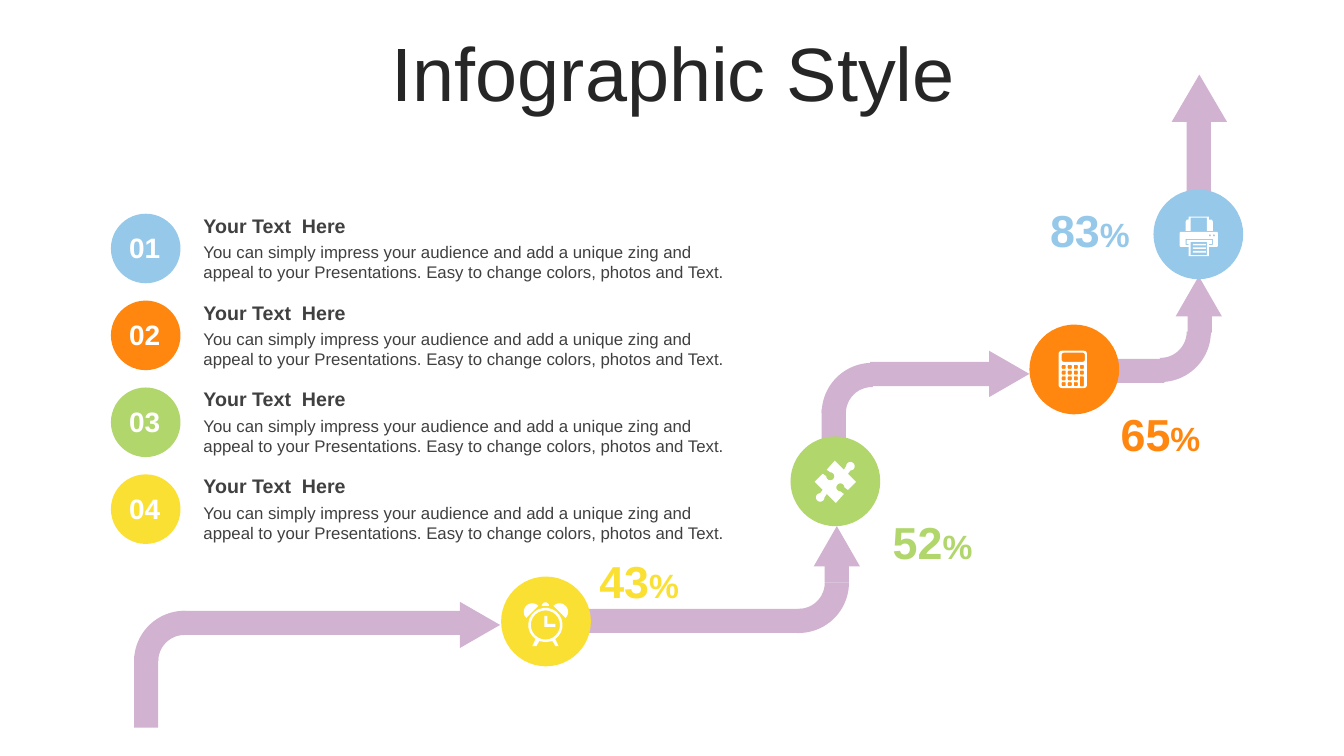
import math

import pptx
import pptx.dml.color
import pptx.enum.shapes
import pptx.enum.text
import pptx.util

Inches = pptx.util.Inches
KIND = pptx.enum.shapes.MSO_SHAPE
ALIGN = pptx.enum.text.PP_ALIGN
ANCHOR = pptx.enum.text.MSO_ANCHOR
FIT = pptx.enum.text.MSO_AUTO_SIZE

BLUE, ORANGE, GREEN, YELLOW = "96C8E9", "FF870F", "B0D66C", "FBE034"
MAUVE, WHITE, GREY, DARK = "D1B2D1", "FFFFFF", "404040", "262626"
HEAD = "Your Text  Here"
BODY = ("You can simply impress your audience and add a unique zing and "
        "appeal to your Presentations. Easy to change colors, photos and Text.")

BARS = [
    (8.15, 4.06, 0.24, 0.31), (8.63, 3.59, 1.3, 0.24),
    (5.83, 6.04, 2.13, 0.24), (8.18, 5.5, 0.24, 0.28),
    (11.77, 1.19, 0.24, 0.89), (1.33, 6.51, 0.24, 0.71),
    (1.81, 6.06, 2.76, 0.24), (11.01, 3.56, 0.54, 0.24),
    (11.78, 3.02, 0.24, 0.28),
]
BENDS = [(8.15, 3.6, 0), (7.42, 5.28, 180), (1.33, 6.06, 0), (11.01, 2.79, 180)]
TIPS = [
    (9.78, 3.51, 0.46, 0.4, 90), (8.07, 5.22, 0.46, 0.4, 0),
    (11.62, 0.74, 0.55, 0.47, 0), (4.53, 6, 0.46, 0.4, 90),
    (11.66, 2.74, 0.46, 0.4, 0),
]
STOPS = [
    ("43", YELLOW, 4.97, 5.72, 5.82, 5.44),
    ("52", GREEN, 7.84, 4.33, 8.73, 5.06),
    ("65", ORANGE, 10.21, 3.22, 10.99, 3.99),
    ("83", BLUE, 11.44, 1.88, 10.29, 1.96),
]


def tint(code):
    return pptx.dml.color.RGBColor.from_string(code)


def style(item, form):
    for name, value in form.items():
        setattr(item, name, value)


def paint(shape, color):
    shape.shadow.inherit = False
    shape.fill.solid()
    shape.fill.fore_color.rgb = tint(color)
    shape.line.fill.background()


def draw(slide, kind, box, color, turn=0):
    shape = slide.shapes.add_shape(kind, *map(Inches, box))
    paint(shape, color)
    shape.rotation = turn
    return shape


def write(slide, box, runs, color, bold=False, align=ALIGN.LEFT, **form):
    frame = slide.shapes.add_textbox(*map(Inches, box)).text_frame
    style(frame, {"word_wrap": True, "auto_size": FIT.SHAPE_TO_FIT_TEXT, **form})
    line = frame.paragraphs[0]
    line.alignment = align
    for text, size in runs:
        run = line.add_run()
        run.text = text
        style(run.font, {"name": "Arial", "size": pptx.util.Pt(size), "bold": bold})
        run.font.color.rgb = tint(color)
    return line


def arc(x, y, radius, start, end):
    count = max(4, round(abs(end - start) / 15))
    turns = [math.radians(start + (end - start) * i / count) for i in range(count + 1)]
    return [(x + radius * math.cos(t), y + radius * math.sin(t)) for t in turns]


def block(x, y, wide, high, radius=0):
    if not radius:
        return [(x, y), (x + wide, y), (x + wide, y + high), (x, y + high)]
    left, right = x + radius, x + wide - radius
    top, base = y + radius, y + high - radius
    spots = [(left, top, 180), (right, top, 270), (right, base, 0), (left, base, 90)]
    return [p for cx, cy, a in spots for p in arc(cx, cy, radius, a, a + 90)]


def trace(slide, loops):
    scaled = [[(Inches(x), Inches(y)) for x, y in loop] for loop in loops]
    pen = slide.shapes.build_freeform(*scaled[0][0], scale=1.0)
    for index, loop in enumerate(scaled):
        if index:
            pen.move_to(*loop[0])
        pen.add_line_segments(loop[1:], close=True)
    paint(pen.convert_to_shape(), WHITE)


def clock(slide):
    hands = [(5.4, 6.11), (5.43, 6.11), (5.43, 6.19), (5.51, 6.19),
             (5.51, 6.22), (5.4, 6.22)]
    legs = [(5.54, 6.41), (5.51, 6.41), (5.48, 6.36), (5.41, 6.37),
            (5.35, 6.36), (5.32, 6.41), (5.28, 6.41)]
    trace(slide, [
        hands,
        arc(5.41, 6.2, 0.145, 0, 360),
        arc(5.41, 6.2, 0.17, 125, 415) + legs,
        arc(5.28, 6.07, 0.085, 135, 315),
        arc(5.55, 6.07, 0.085, 225, 405),
        arc(5.41, 6.01, 0.035, 180, 360),
    ])


def counter(slide):
    keys = []
    for row in range(4):
        for col in range(4):
            if (row, col) != (3, 3):
                high = 0.1 if (row, col) == (2, 3) else 0.04
                keys.append(block(10.53 + 0.06 * col, 3.62 + 0.057 * row, 0.04, high, 0.01))
    trace(slide, [block(10.5, 3.48, 0.28, 0.37, 0.03),
                  block(10.53, 3.5, 0.23, 0.09, 0.02)] + keys)


def printer(slide):
    case = [(11.7, 2.31), (11.71, 2.3), (12.07, 2.3), (12.08, 2.31), (12.08, 2.44),
            (12.07, 2.45), (11.99, 2.45), (11.99, 2.54), (11.79, 2.54),
            (11.79, 2.45), (11.71, 2.45), (11.7, 2.44)]
    slot = [(11.76, 2.37), (11.76, 2.43), (11.79, 2.43), (11.79, 2.42),
            (11.77, 2.42), (11.77, 2.38), (12.02, 2.38), (12.02, 2.42),
            (11.99, 2.42), (11.99, 2.43), (12.03, 2.43), (12.03, 2.37)]
    feed = [(11.79, 2.15), (11.99, 2.15), (11.99, 2.18), (12.02, 2.18),
            (12.03, 2.2), (12.03, 2.29), (11.97, 2.29), (11.97, 2.16),
            (11.81, 2.16), (11.81, 2.29), (11.76, 2.29), (11.76, 2.2),
            (11.77, 2.18), (11.79, 2.18)]
    lines = [block(11.83, 2.42 + 0.035 * i, 0.13, 0.015) for i in range(3)]
    lamps = [arc(x, 2.335, 0.01, 0, 360) for x in (12, 12.04)]
    trace(slide, [case, slot, feed, block(11.81, 2.4, 0.16, 0.13)] + lines + lamps)


def puzzle(slide):
    half = [(8.08, 4.78), (8.16, 4.7)]
    half += arc(8.235, 4.725, 0.04, 180, -90)
    half += [(8.2, 4.66), (8.28, 4.57), (8.37, 4.66)]
    half += arc(8.435, 4.625, 0.042, 180, 450)
    half += [(8.41, 4.7)]
    trace(slide, [half + [(16.57 - x, 9.56 - y) for x, y in half]])


def route(slide):
    for box in BARS:
        draw(slide, KIND.RECTANGLE, box, MAUVE)
    for x, y, turn in BENDS:
        bend = draw(slide, KIND.BLOCK_ARC, (x, y, 1, 1), MAUVE, turn)
        for index, value in enumerate((108, 162.85, 0.24)):
            bend.adjustments[index] = value
    for *box, turn in TIPS:
        draw(slide, KIND.ISOSCELES_TRIANGLE, box, MAUVE, turn)


def main():
    deck = pptx.Presentation()
    style(deck, {"slide_width": Inches(13.33), "slide_height": Inches(7.5)})
    slide = deck.slides.add_slide(deck.slide_layouts[6])
    title = write(slide, (0.35, 0.37, 12.66, 0.79), [("Infographic Style", 54)], DARK,
                  align=ALIGN.CENTER, vertical_anchor=ANCHOR.MIDDLE, auto_size=FIT.NONE)
    title.line_spacing = 0.9
    route(slide)
    for index, color in enumerate((BLUE, ORANGE, GREEN, YELLOW)):
        drop = 0.862 * index
        draw(slide, KIND.OVAL, (1.1, 2.12 + drop, 0.69, 0.69), color)
        write(slide, (1.18, 2.24 + drop, 0.51, 0.44), [(f"{index + 1:02}", 20)], WHITE,
              True, ALIGN.CENTER, word_wrap=False)
        write(slide, (1.92, 2.07 + drop, 5.5, 0.34), [(HEAD, 14)], GREY, True)
        write(slide, (1.92, 2.35 + drop, 5.5, 0.5), [(BODY, 12)], GREY)
    for value, color, x, y, left, top in STOPS:
        draw(slide, KIND.OVAL, (x, y, 0.89, 0.89), color)
        write(slide, (left, top, 1.04, 0.64), [(value, 32), ("%", 24)], color,
              True, ALIGN.CENTER)
    for icon in (clock, counter, printer, puzzle):
        icon(slide)
    deck.save("out.pptx")


if __name__ == "__main__":
    main()
